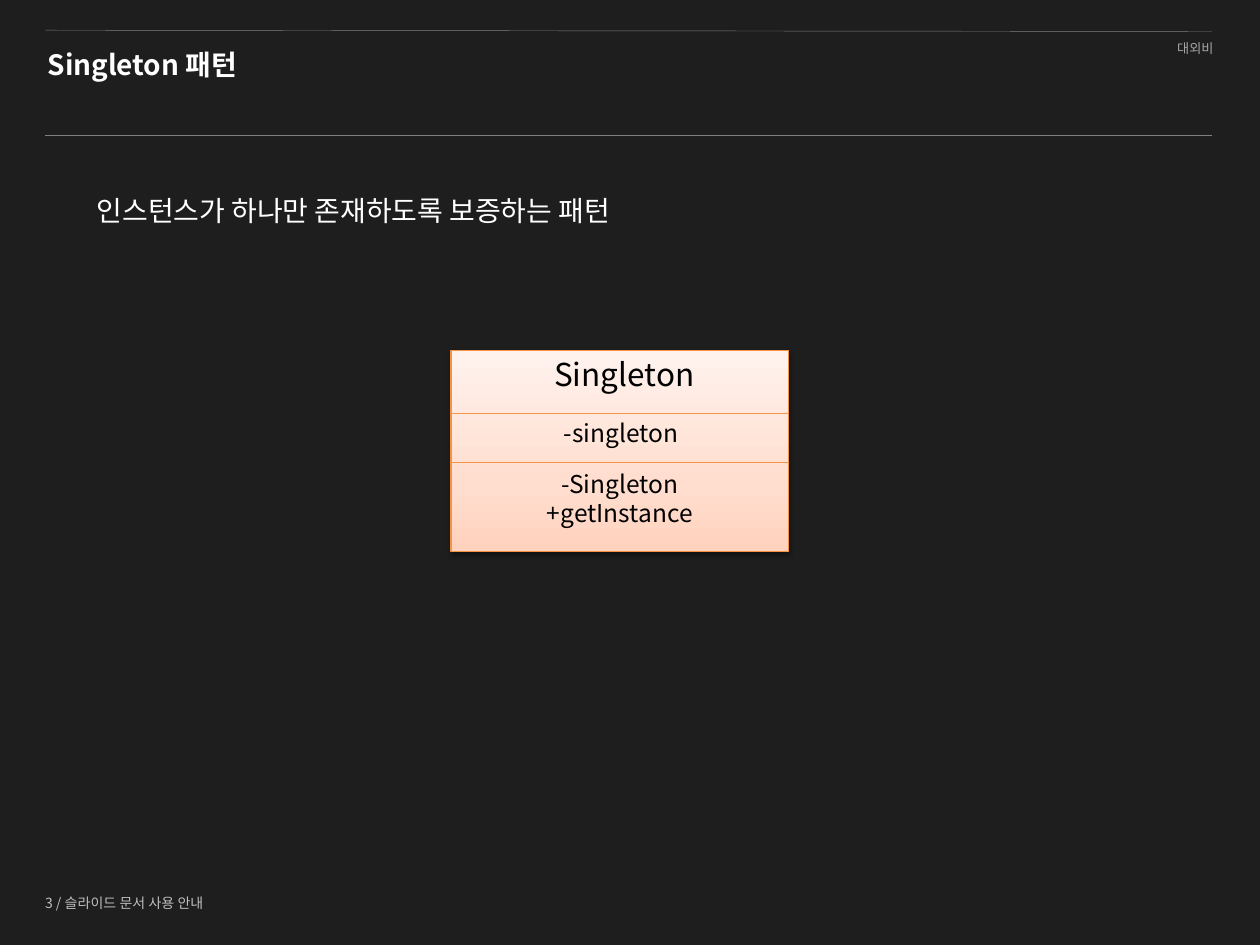
from copy import deepcopy

from lxml import etree
from pptx import Presentation
from pptx.dml.color import RGBColor
from pptx.enum.shapes import MSO_CONNECTOR, MSO_SHAPE
from pptx.enum.text import MSO_ANCHOR, PP_ALIGN
from pptx.oxml.ns import qn
from pptx.util import Inches, Pt

STRAIGHT = MSO_CONNECTOR.STRAIGHT
RECTANGLE = MSO_SHAPE.RECTANGLE
TOP, MIDDLE = MSO_ANCHOR.TOP, MSO_ANCHOR.MIDDLE
LEFT, CENTER, RIGHT = PP_ALIGN.LEFT, PP_ALIGN.CENTER, PP_ALIGN.RIGHT

FONT = "Noto Sans CJK KR"
BACKGROUND = RGBColor(0x1E, 0x1E, 0x1E)
WHITE = RGBColor(0xFF, 0xFF, 0xFF)
BLACK = RGBColor(0, 0, 0)
RULE_GRAY = RGBColor(0x80, 0x80, 0x80)
LABEL_GRAY = RGBColor(0xA6, 0xA6, 0xA6)
FOOTER_GRAY = RGBColor(0xBF, 0xBF, 0xBF)
BORDER = RGBColor(0xF6, 0x92, 0x40)
DIVIDER = RGBColor(0xF7, 0x96, 0x46)
CLASS_GRADIENT = [
    (0, RGBColor(0xFF, 0xD2, 0xBD)),
    (0.35, RGBColor(0xFF, 0xDE, 0xD0)),
    (1, RGBColor(0xFF, 0xF2, 0xED)),
]


def add_text(shapes, text, left, top, width, height, *, size, color, bold=False,
             align=LEFT, anchor=TOP, wrap=True, line_spacing=None, space_before=None):
    """Add a text box with one paragraph for each line of text."""
    box = shapes.add_textbox(Inches(left), Inches(top), Inches(width), Inches(height))
    frame = box.text_frame
    frame.word_wrap = wrap
    frame.vertical_anchor = anchor
    frame.text = text
    for paragraph in frame.paragraphs:
        paragraph.alignment = align
        paragraph.line_spacing = line_spacing
        paragraph.space_before = space_before
        for run in paragraph.runs:
            font = run.font
            font.name, font.size, font.bold = FONT, Pt(size), bold
            font.color.rgb = color
            east_asian = etree.SubElement(run._r.get_or_add_rPr(), qn("a:ea"))
            east_asian.set("typeface", FONT)


def add_line(shapes, x1, y1, x2, y2, color, weight):
    line = shapes.add_connector(STRAIGHT, Inches(x1), Inches(y1), Inches(x2), Inches(y2))
    line.line.color.rgb = color
    line.line.width = Pt(weight)
    etree.SubElement(line._element.spPr, qn("a:effectLst"))


def fill_gradient(shape, stops):
    """Fill from the bottom edge to the top edge with any number of stops."""
    shape.fill.gradient()
    shape.fill.gradient_angle = 90
    stop_list = shape._element.spPr.find(qn("a:gradFill")).find(qn("a:gsLst"))
    while len(stop_list) < len(stops):
        stop_list.append(deepcopy(stop_list[0]))
    for stop, (position, color) in zip(shape.fill.gradient_stops, stops):
        stop.position = position
        stop.color.rgb = color


def add_shadow(shape, blur, distance, opacity):
    """Cast a black shadow straight down."""
    shape.shadow.inherit = False
    effects = shape._element.spPr.find(qn("a:effectLst"))
    shadow = etree.SubElement(effects, qn("a:outerShdw"), blurRad=str(Pt(blur)),
                              dist=str(Pt(distance)), dir="5400000", rotWithShape="0")
    color = etree.SubElement(shadow, qn("a:srgbClr"), val=str(BLACK))
    etree.SubElement(color, qn("a:alpha"), val=str(opacity * 1000))


def add_header(shapes, left, top, width, height):
    right, bottom = left + width, top + height
    add_line(shapes, left, top, right, top + 0.01, RULE_GRAY, 0.25)
    add_line(shapes, left, bottom, right, bottom, RULE_GRAY, 0.25)
    add_text(shapes, "대외비", right - 0.91, top - 0.02, 1.02, 0.27,
             size=7.5, color=LABEL_GRAY, align=RIGHT, line_spacing=1.4)
    add_text(shapes, "Singleton 패턴", left - 0.08, top + 0.09, width + 0.19, 0.37,
             size=16, color=WHITE, bold=True)


def add_class_diagram(shapes, left, top, width, height):
    parts = shapes.add_group_shape().shapes
    body = parts.add_shape(RECTANGLE, Inches(left), Inches(top), Inches(width), Inches(height))
    fill_gradient(body, CLASS_GRADIENT)
    body.line.color.rgb = BORDER
    body.line.width = Pt(0.75)
    add_shadow(body, blur=3.1, distance=1.6, opacity=38)

    attributes_top, methods_top = top + 0.5, top + 0.89
    for y in (attributes_top, methods_top):
        add_line(parts, left, y, left + width, y, DIVIDER, 0.75)

    label = {"color": BLACK, "align": CENTER, "wrap": False}
    add_text(parts, "Singleton", left + 0.45, top - 0.01, 1.85, 0.68, size=18, **label)
    add_text(parts, "-singleton", left + 0.77, attributes_top - 0.01, 1.16, 0.34,
             size=14, **label)
    add_text(parts, "-Singleton\n+getInstance", left + 0.64, methods_top, 1.4, 0.57,
             size=14, **label)


def main():
    deck = Presentation()
    deck.slide_width, deck.slide_height = Inches(10), Inches(7.5)
    slide = deck.slides.add_slide(deck.slide_layouts[6])
    slide.background.fill.solid()
    slide.background.fill.fore_color.rgb = BACKGROUND

    add_header(slide.shapes, 0.36, 0.24, 9.26, 0.83)
    add_text(slide.shapes, "인스턴스가 하나만 존재하도록 보증하는 패턴", 0.67, 1.35, 8.66, 4.95,
             size=16, color=WHITE, line_spacing=1.5, space_before=Pt(3))
    add_class_diagram(slide.shapes, 3.58, 2.78, 2.68, 1.6)
    add_text(slide.shapes, "3 / 슬라이드 문서 사용 안내", 0.26, 7.03, 3.04, 0.27,
             size=8, color=FOOTER_GRAY, anchor=MIDDLE)
    deck.save("out.pptx")


if __name__ == "__main__":
    main()
